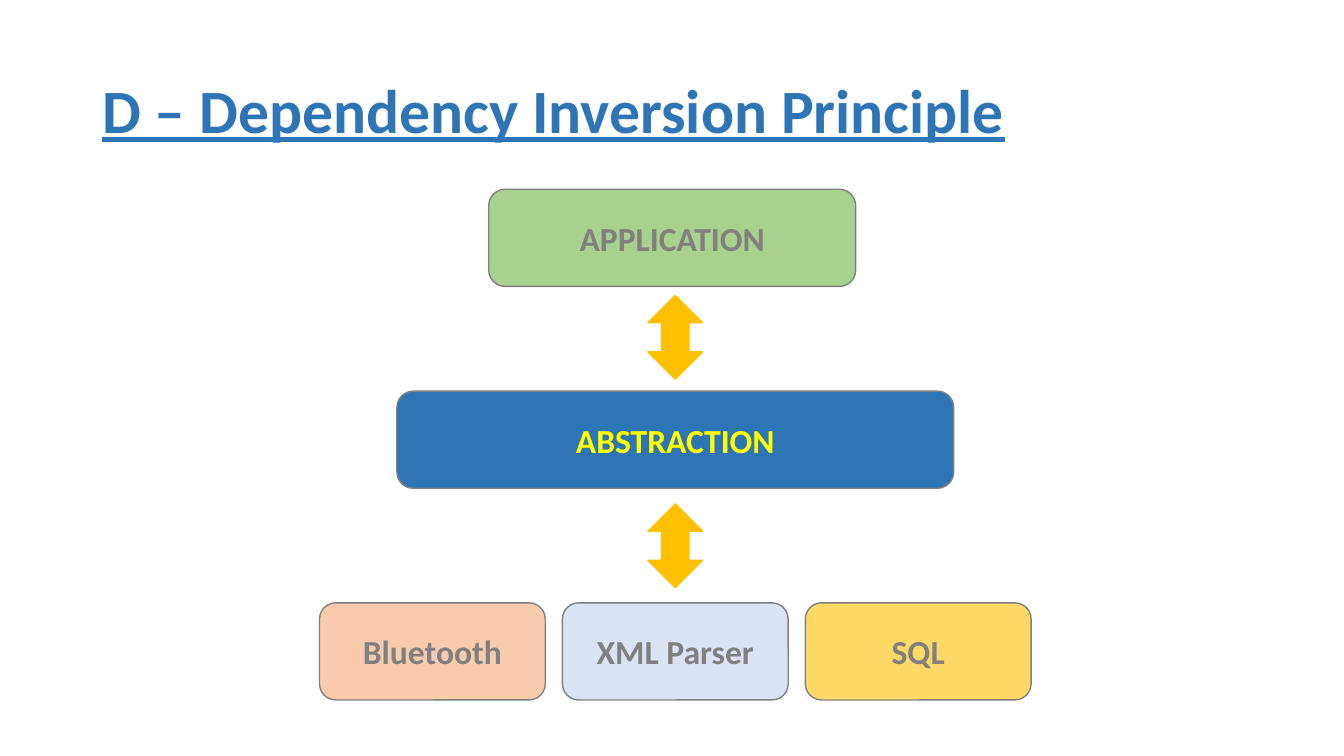
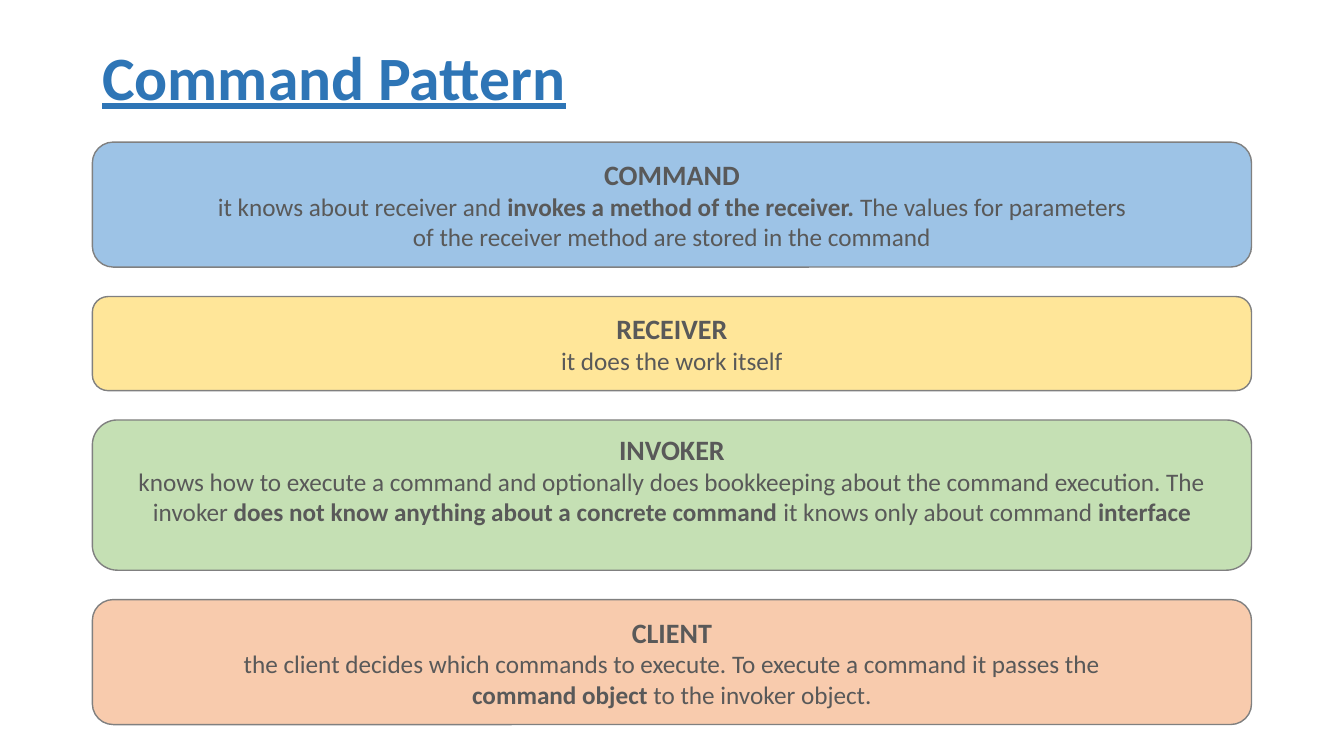
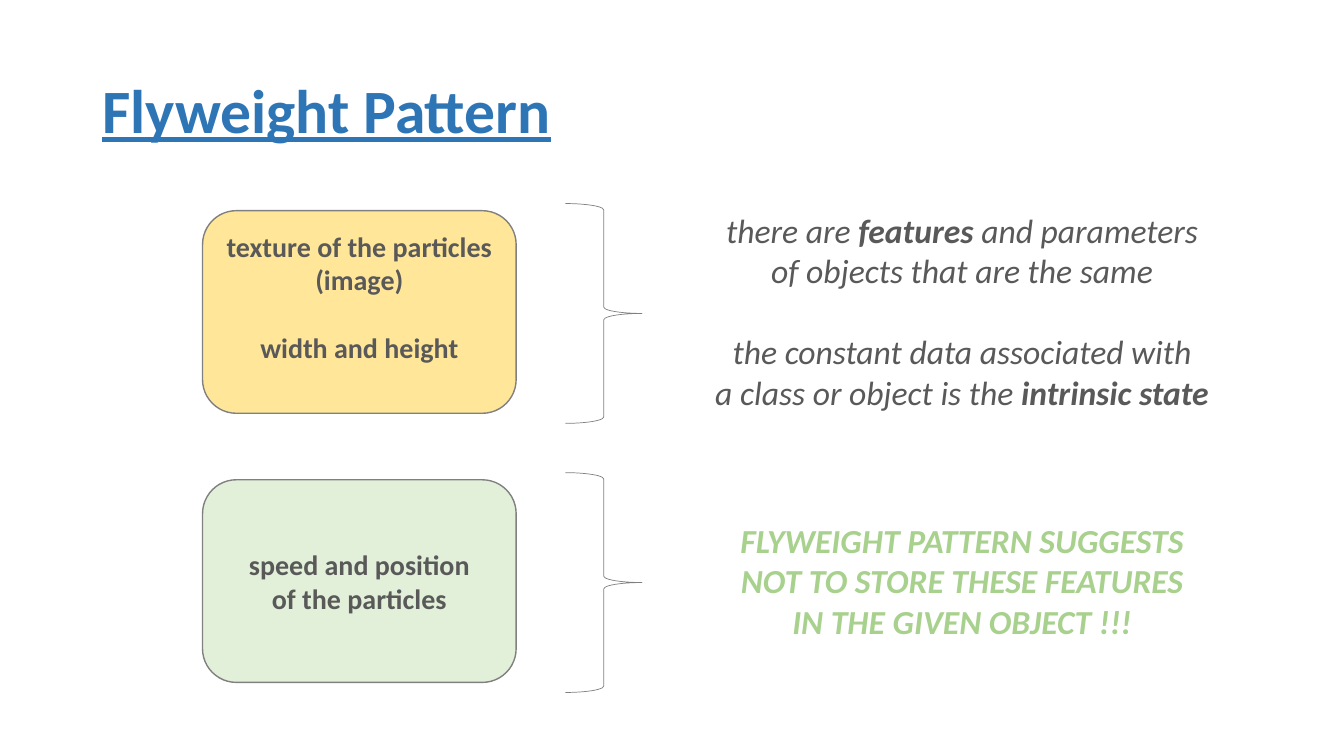
from dataclasses import dataclass

from pptx import Presentation
from pptx import util as u
from pptx.dml.color import RGBColor
from pptx.enum import shapes, text

Pt = u.Pt
Shape = shapes.MSO_SHAPE


@dataclass(frozen=True)
class Theme:
    font: str = "Calibri"
    # Type sizes
    title_size: int = 44
    large: int = 24
    heading: int = 20
    body: int = 18
    # Colours
    blue: str = "2E75B6"
    light_blue: str = "9DC3E6"
    pale_blue: str = "DAE3F3"
    green: str = "A9D18E"
    light_green: str = "C5E0B4"
    pale_green: str = "E2F0D9"
    peach: str = "F8CBAD"
    gold: str = "FFC000"
    light_gold: str = "FFD966"
    pale_gold: str = "FFE699"
    yellow: str = "FFFF00"
    grey: str = "808080"
    dark_grey: str = "595959"
    # Shared margins
    left: float = 66
    width: float = 828


THEME = Theme()


@dataclass(frozen=True)
class Line:
    """One paragraph; ** switches bold on and off."""
    words: str
    size: float
    color: str = THEME.dark_grey
    bold: bool = False
    italic: bool = False
    underline: bool = False
    gap: float = 0  # blank lines above


def write(frame, lines, align):
    """Fill a text frame with formatted paragraphs."""
    for index, line in enumerate(lines):
        para = frame.paragraphs[0] if index == 0 else frame.add_paragraph()
        para.alignment = align
        if line.gap:
            para.space_before = Pt(round(line.gap * line.size * 1.22, 1))
        for part, words in enumerate(line.words.split("**")):
            if not words:
                continue
            span = para.add_run()
            span.text = words
            span.font.name = THEME.font
            span.font.size = Pt(line.size)
            span.font.bold = line.bold or part % 2 == 1
            span.font.italic = line.italic
            span.font.underline = line.underline
            span.font.color.rgb = RGBColor.from_string(line.color)


def add_figure(page, kind, left, top, width, height, fill=None,
               line=THEME.grey, weight=1):
    """Preset shape with a plain outline."""
    figure = page.shapes.add_shape(kind, Pt(left), Pt(top), Pt(width), Pt(height))
    figure.shadow.inherit = False
    if fill:
        figure.fill.solid()
        figure.fill.fore_color.rgb = RGBColor.from_string(fill)
    else:
        figure.fill.background()
    figure.line.color.rgb = RGBColor.from_string(line)
    figure.line.width = Pt(weight)
    return figure


def add_card(page, left, top, width, height, fill, lines, foot=0):
    """Rounded box with centred text; foot is extra room below the text."""
    card = add_figure(page, Shape.ROUNDED_RECTANGLE, left, top, width, height, fill)
    frame = card.text_frame
    frame.word_wrap = True
    frame.vertical_anchor = text.MSO_ANCHOR.MIDDLE
    frame.margin_bottom = Pt(3.6 + foot)
    write(frame, lines, text.PP_ALIGN.CENTER)


def add_text(page, left, top, width, height, lines, wrap=False,
             align=text.PP_ALIGN.CENTER, anchor=text.MSO_ANCHOR.TOP):
    box = page.shapes.add_textbox(Pt(left), Pt(top), Pt(width), Pt(height))
    box.text_frame.word_wrap = wrap
    box.text_frame.vertical_anchor = anchor
    write(box.text_frame, lines, align)
    return box


def add_page(deck, title, top=28.8):
    """Blank page with the shared title style."""
    page = deck.slides.add_slide(deck.slide_layouts[6])
    heading = Line(title, THEME.title_size, THEME.blue, bold=True, underline=True)
    box = add_text(page, THEME.left, top, THEME.width, 104.4, [heading], wrap=True,
                   align=text.PP_ALIGN.LEFT, anchor=text.MSO_ANCHOR.MIDDLE)
    box.text_frame.paragraphs[0].line_spacing = 0.9
    return page


def build_dependency_inversion(deck):
    page = add_page(deck, "D – Dependency Inversion Principle")
    axis, height = 482.4, 69.4
    module_width, module_step = 161.3, 174.9

    # Layers: name, centre, top, width, fill, text colour
    layers = [
        ("APPLICATION", 480.2, 135.2, 262.1, THEME.green, THEME.grey),
        ("ABSTRACTION", axis, 279.4, 397.7, THEME.blue, THEME.yellow),
    ]
    modules = [("Bluetooth", THEME.peach), ("XML Parser", THEME.pale_blue),
               ("SQL", THEME.light_gold)]
    for index, (name, fill) in enumerate(modules):
        center = axis + (index - 1) * 173.5
        layers.append((name, center, 430.6, module_width, fill, THEME.grey))
    for name, center, top, width, fill, color in layers:
        add_card(page, center - width / 2, top, width, height, fill,
                 [Line(name, THEME.large, color, bold=True)])

    # Arrows between the layers
    for top in (211, 360):
        add_figure(page, Shape.UP_DOWN_ARROW, axis - 19.5, top, 39, 59.8,
                   THEME.gold, THEME.gold)


def build_command(deck):
    page = add_page(deck, "Command Pattern", top=5)
    # Cards: height, fill, room below, heading, body lines
    cards = [
        (89.3, THEME.light_blue, 0, "COMMAND",
         ["it knows about receiver and **invokes a method of the receiver.** "
          "The values for parameters",
          "of the receiver method are stored in the command"]),
        (67.2, THEME.pale_gold, 0, "RECEIVER", ["it does the work itself"]),
        (107.3, THEME.light_green, 22, "INVOKER",
         ["knows how to execute a command and optionally does bookkeeping about "
          "the command execution. The invoker **does not know anything about a "
          "concrete command** it knows only about command **interface**"]),
        (89.3, THEME.peach, 0, "CLIENT",
         ["the client decides which commands to execute. To execute a command "
          "it passes the",
          "**command object** to the invoker object."]),
    ]
    top, gap = 101.5, 21
    for height, fill, foot, heading, body in cards:
        lines = [Line(heading, THEME.heading, bold=True)]
        lines += [Line(words, THEME.body) for words in body]
        add_card(page, THEME.left, top, THEME.width, height, fill, lines, foot)
        top += height + gap


def build_flyweight(deck):
    page = add_page(deck, "Flyweight Pattern")

    def label(words, gap=0):
        return Line(words, THEME.heading, bold=True, gap=gap)

    def remark(words, gap=0):
        return Line(words, THEME.large, italic=True, gap=gap)

    def advice(words):
        return Line(words, THEME.large, THEME.green, bold=True, italic=True)

    # Rows: fill, room below, card lines, text top, text height, text lines
    rows = [
        (THEME.pale_gold, 22,
         [label("texture of the particles"), label("(image)"),
          label("width and height", gap=1)],
         146.2, 152.6,
         [remark("there are **features** and parameters"),
          remark("of objects that are the same"),
          remark("the constant data associated with", gap=1),
          remark("a class or object is the **intrinsic state**")]),
        (THEME.pale_green, 0,
         [label("speed and position"), label("of the particles")],
         367.9, 94.3,
         [advice("FLYWEIGHT PATTERN SUGGESTS"),
          advice("NOT TO STORE THESE FEATURES"),
          advice("IN THE GIVEN OBJECT !!!")]),
    ]
    for index, (fill, foot, labels, text_top, text_height, notes) in enumerate(rows):
        shift = index * 192.2
        add_card(page, 144.7, 150.5 + shift, 224, 144.7, fill, labels, foot)
        add_figure(page, Shape.RIGHT_BRACE, 403.9, 145.4 + shift, 54.7, 157,
                   weight=0.5)
        add_text(page, 501.8, text_top, 370.8, text_height, notes)


def main():
    deck = Presentation()
    deck.slide_width, deck.slide_height = Pt(960), Pt(540)
    build_dependency_inversion(deck)
    build_command(deck)
    build_flyweight(deck)
    deck.save("out.pptx")


if __name__ == "__main__":
    main()
